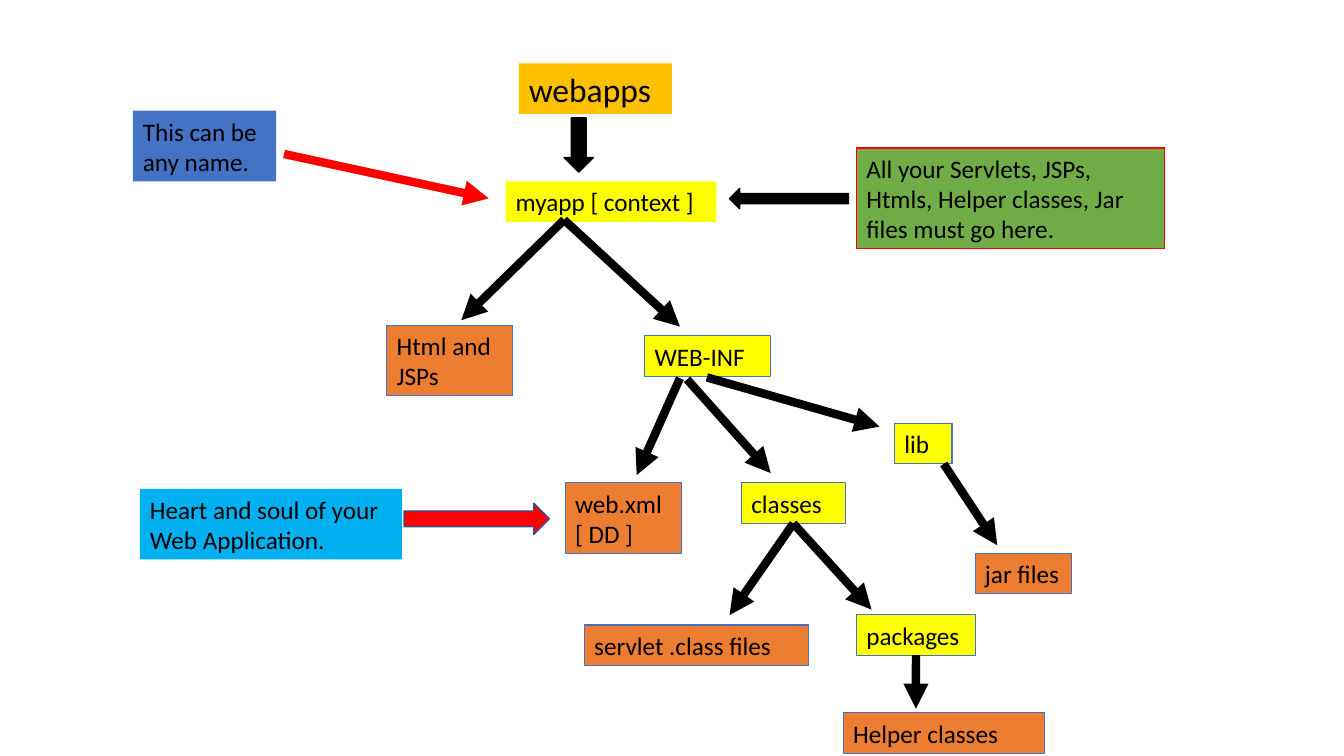
from dataclasses import dataclass

from lxml import etree
from pptx import Presentation
from pptx.dml.color import RGBColor
from pptx.enum.shapes import MSO_CONNECTOR, MSO_SHAPE
from pptx.enum.text import MSO_ANCHOR, PP_ALIGN
from pptx.oxml.ns import qn
from pptx.util import Cm, Pt

RECT = MSO_SHAPE.RECTANGLE
DOWN, LEFT, RIGHT = MSO_SHAPE.DOWN_ARROW, MSO_SHAPE.LEFT_ARROW, MSO_SHAPE.RIGHT_ARROW
STRAIGHT = MSO_CONNECTOR.STRAIGHT
TOP, ALIGN_LEFT = MSO_ANCHOR.TOP, PP_ALIGN.LEFT
BOTTOM_SITE = 2


@dataclass(frozen=True)
class Theme:
    font: str = "Calibri"
    body: float = 18
    root: float = 24
    thin: float = 0.75
    outline: float = 1
    arrow: float = 6
    black: str = "000000"
    red: str = "FF0000"
    amber: str = "FFC000"
    folder: str = "FFFF00"
    file: str = "ED7D31"
    blue: str = "4472C4"
    navy: str = "2F528F"
    green: str = "70AD47"
    sky: str = "00B0F0"


THEME = Theme()
FRAME_FORMAT = {
    "word_wrap": True, "vertical_anchor": TOP,
    "margin_left": Cm(0.25), "margin_right": Cm(0.25),
    "margin_top": Cm(0.13), "margin_bottom": Cm(0.13),
}

# name: (text, left, top, width, lines, fill, outline), in cm within the tree
NODES = {
    "myapp": ("myapp [ context ]", 3, 2.97, 5.31, 1, THEME.folder, None),
    "html": ("Html and JSPs", 0, 6.6, 3.18, 2, THEME.file, THEME.blue),
    "web_inf": ("WEB-INF", 6.5, 6.86, 3.18, 1, THEME.folder, THEME.blue),
    "web_xml": ("web.xml\n[ DD ]", 4.5, 10.57, 2.92, 2, THEME.file, THEME.blue),
    "classes": ("classes", 8.94, 10.57, 2.62, 1, THEME.folder, THEME.blue),
    "lib": ("lib", 12.8, 9.07, 1.45, 1, THEME.folder, THEME.blue),
    "servlets": ("servlet .class files", 4.98, 14.15, 5.66, 1, THEME.file, THEME.blue),
    "packages": ("packages", 11.84, 13.89, 3, 1, THEME.folder, THEME.blue),
    "helpers": ("Helper classes", 11.51, 16.36, 5.08, 1, THEME.file, THEME.blue),
    "jars": ("jar files", 14.83, 12.34, 2.44, 1, THEME.file, THEME.blue),
}
# parent, offset from its bottom left (None: bottom middle), child, offset from its top left
BRANCHES = [
    ("myapp", (1.47, -0.05), "html", (1.88, -0.13)),
    ("myapp", (1.47, -0.05), "web_inf", (0.89, -0.23)),
    ("web_inf", (0.89, 0.05), "web_xml", (1.8, -0.2)),
    ("web_inf", (1.07, 0.08), "classes", (0.74, -0.25)),
    ("web_inf", (1.57, 0.03), "lib", (-0.38, 0.08)),
    ("lib", (1.24, 0), "jars", (0.56, -0.2)),
    ("classes", None, "servlets", (3.66, -0.25)),
    ("classes", None, "packages", (0.38, -0.13)),
    ("packages", None, "helpers", (1.83, -0.1)),
]


def color(value):
    return RGBColor.from_string(value)


def text_height(lines):
    return 0.26 + 0.76 * lines


def add_filled(slide, preset, box, fill, outline=None, weight=THEME.thin):
    shape = slide.shapes.add_shape(preset, *map(Cm, box))
    shape.shadow.inherit = False
    shape.fill.solid()
    shape.fill.fore_color.rgb = color(fill)
    if outline:
        shape.line.color.rgb = color(outline)
        shape.line.width = Pt(weight)
    else:
        shape.line.fill.background()
    return shape


def add_label(slide, text, box, fill, outline=None, size=THEME.body):
    label = add_filled(slide, RECT, box, fill, outline)
    frame = label.text_frame
    for name, value in FRAME_FORMAT.items():
        setattr(frame, name, value)
    frame.text = text
    font_format = {"name": THEME.font, "size": Pt(size)}
    for paragraph in frame.paragraphs:
        paragraph.alignment = ALIGN_LEFT
        for name, value in font_format.items():
            setattr(paragraph.font, name, value)
        paragraph.font.color.rgb = color(THEME.black)
    return label


def add_arrow(slide, start, end, stroke):
    arrow = slide.shapes.add_connector(STRAIGHT, *map(Cm, (*start, *end)))
    arrow.line.color.rgb = color(stroke)
    arrow.line.width = Pt(THEME.arrow)
    etree.SubElement(arrow.line._get_or_add_ln(), qn("a:tailEnd"), type="triangle")
    etree.SubElement(arrow._element.spPr, qn("a:effectLst"))
    return arrow


def draw_tree(slide, left, top):
    """Draw the folder tree with its top left corner at the given point."""
    add_label(slide, "webapps", (left + 3.33, top, 3.86, 1.27), THEME.amber, size=THEME.root)
    add_filled(slide, DOWN, (left + 4.47, top + 1.37, 0.74, 1.37),
               THEME.black, THEME.black, THEME.outline)
    labels, boxes = {}, {}
    for name, (text, x, y, width, lines, fill, outline) in NODES.items():
        boxes[name] = (left + x, top + y, width, text_height(lines))
        labels[name] = add_label(slide, text, boxes[name], fill, outline)
    for parent, leave, child, arrive in BRANCHES:
        x, y, width, height = boxes[parent]
        dx, dy = leave or (width / 2, 0)
        end = (boxes[child][0] + arrive[0], boxes[child][1] + arrive[1])
        branch = add_arrow(slide, (x + dx, y + height + dy), end, THEME.black)
        if leave is None:
            branch.begin_connect(labels[parent], BOTTOM_SITE)


def draw_name_note(slide, left, top):
    add_label(slide, "This can be any name.", (left, top, 3.61, text_height(2)), THEME.blue)
    add_arrow(slide, (left + 3.81, top + 1.09), (left + 8.97, top + 2.21), THEME.red)


def draw_contents_note(slide, left, top):
    add_label(slide, "All your Servlets, JSPs, Htmls, Helper classes, Jar files must go here.",
              (left, top, 7.77, text_height(3)), THEME.green, THEME.red)
    add_filled(slide, LEFT, (left - 3.2, top + 1.02, 3, 0.51),
               THEME.black, THEME.black, THEME.outline)


def draw_descriptor_note(slide, left, top):
    add_label(slide, "Heart and soul of your Web Application.",
              (left, top, 6.6, text_height(2)), THEME.sky)
    add_filled(slide, RIGHT, (left + 6.66, top + 0.36, 3.66, 0.79),
               THEME.red, THEME.navy, THEME.outline)


def main():
    deck = Presentation()
    deck.slide_width, deck.slide_height = Cm(33.88), Cm(19.05)
    slide = deck.slides.add_slide(deck.slide_layouts[6])
    draw_tree(slide, 9.75, 1.6)
    draw_name_note(slide, 3.35, 2.79)
    draw_contents_note(slide, 21.59, 3.73)
    draw_descriptor_note(slide, 3.53, 12.32)
    deck.save("out.pptx")


if __name__ == "__main__":
    main()
